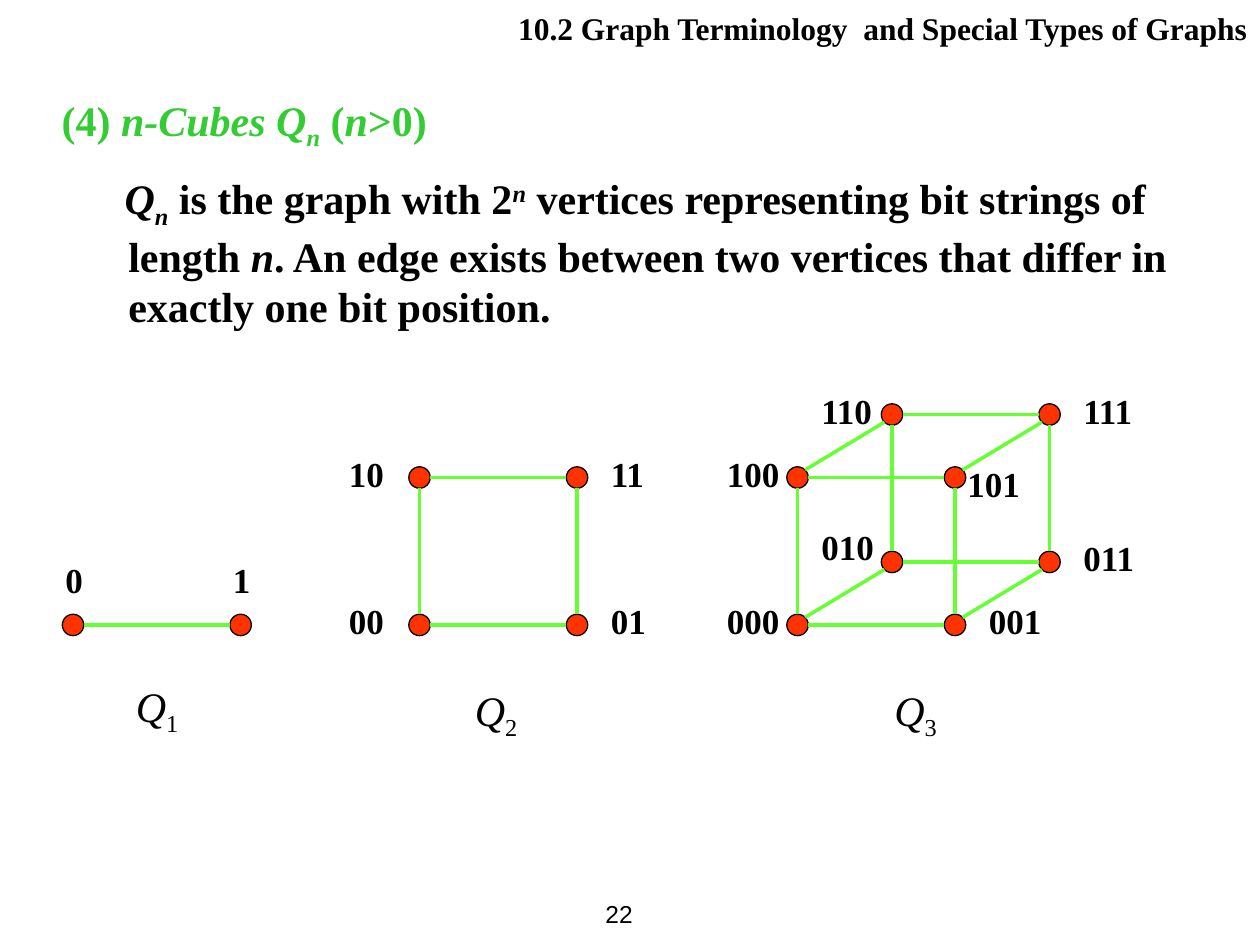
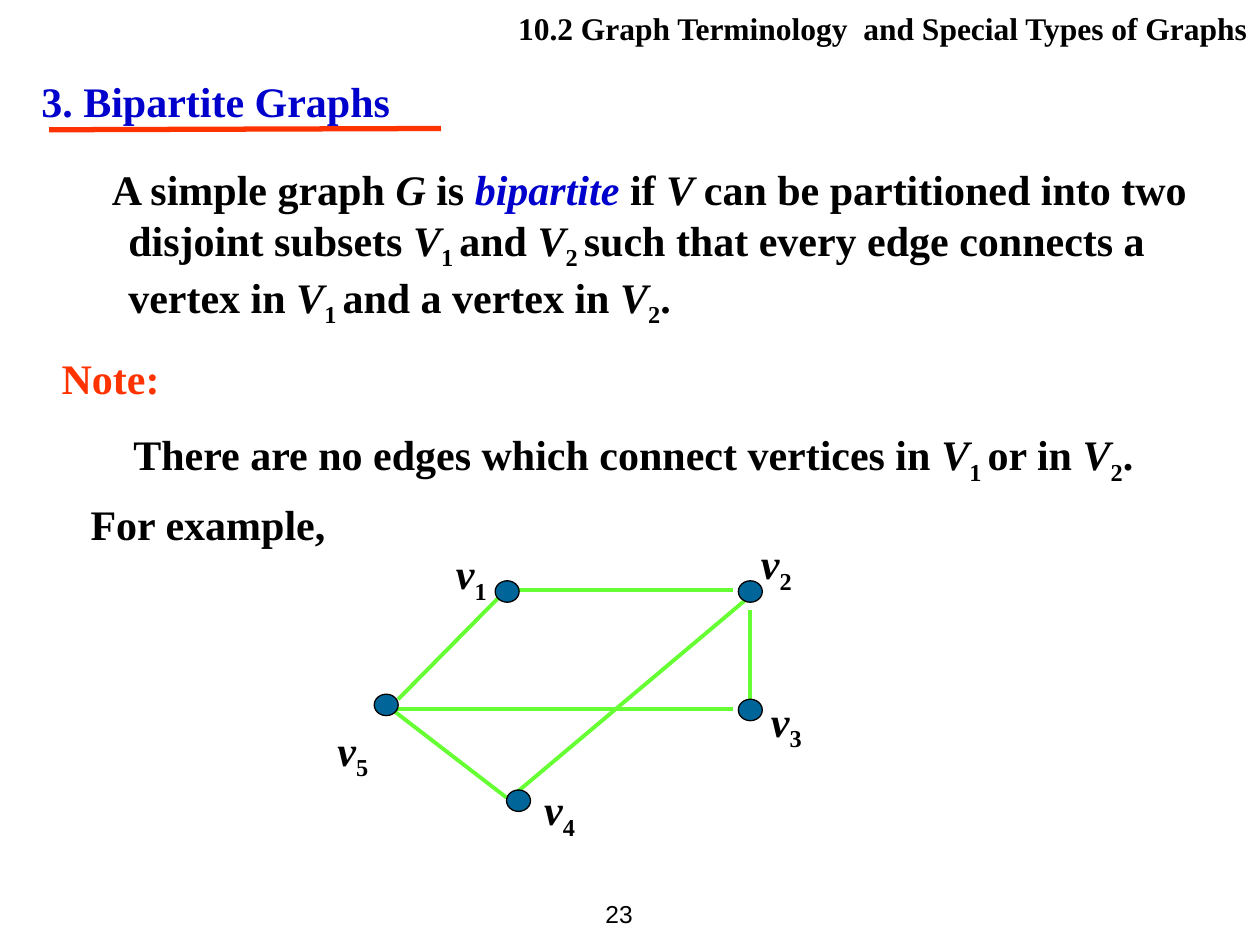
from itertools import combinations
from math import sqrt

from lxml import etree
from pptx import Presentation
from pptx import util as u
from pptx.dml.color import RGBColor
from pptx.enum import shapes as kinds, text
from pptx.oxml.ns import qn

# Shared look
BLACK = RGBColor(0x00, 0x00, 0x00)
HEADING_GREEN = RGBColor(0x33, 0xCC, 0x33)
EDGE_GREEN = RGBColor(0x66, 0xFF, 0x33)
RED = RGBColor(0xFF, 0x33, 0x00)
BLUE = RGBColor(0x00, 0x00, 0xCC)
VERTEX_BLUE = RGBColor(0x00, 0x66, 0x99)
SERIF = "Times New Roman"
SECTION = "10.2 Graph Terminology  and Special Types of Graphs"
BASELINES = {"_": "-25000", "^": "30000"}

BODY = {"size": 24, "bold": True}
CAPTION = {"size": 24}
BIT_LABEL = {"size": 20, "bold": True}

# Cube layout: the step that each bit adds, last bit first
RADIUS = 0.085
RIGHT, UP, BACK = (1.25, 0), (0, -1.17), (0.75, -0.5)
LABEL_LEFT, LABEL_RIGHT, LABEL_ABOVE = (-0.66, -0.25), (0.17, -0.25), (-0.16, -0.58)
LABEL_OFFSETS = {
    "0": LABEL_ABOVE, "1": LABEL_ABOVE,
    "00": LABEL_LEFT, "01": LABEL_RIGHT, "10": LABEL_LEFT, "11": LABEL_RIGHT,
    "000": LABEL_LEFT, "001": LABEL_RIGHT, "100": LABEL_LEFT, "101": (0, -0.17),
    "010": (-0.66, -0.34), "011": LABEL_RIGHT, "110": LABEL_LEFT, "111": LABEL_RIGHT,
}

# Bipartite example
VERTEX_SIZE = (0.19, 0.17)
VERTICES = [(2.97, 5.51), (5.86, 5.55), (5.86, 4.61), (3.93, 4.61), (4.02, 6.27)]
EDGES = [
    ((4.02, 4.68), (5.82, 4.68)), ((4.02, 4.68), (3.16, 5.55)),
    ((3.11, 5.63), (5.82, 5.63)), ((5.95, 4.84), (5.95, 5.55)),
    ((3.11, 5.63), (4.02, 6.33)), ((5.99, 4.7), (4.1, 6.29)),
]
VERTEX_LABELS = {"1": (3.52, 4.3), "2": (5.94, 4.22), "3": (6.02, 5.47),
                 "4": (4.22, 6.17), "5": (2.58, 5.7)}


def set_values(target, values):
    for name, value in values.items():
        setattr(target, name, value)


def add_run(paragraph, content, marks="", color=BLACK, size=24, bold=False, name=SERIF):
    """Marks: i italic, _ subscript, ^ superscript."""
    run = paragraph.add_run()
    run.text = content
    set_values(run.font, {"name": name, "size": u.Pt(size), "bold": bold, "italic": "i" in marks})
    run.font.color.rgb = color
    for mark in marks:
        if mark in BASELINES:
            run.font._element.set("baseline", BASELINES[mark])


def add_text(shapes, box, paragraphs, style, anchor=text.MSO_ANCHOR.TOP):
    """Each paragraph is (runs, format values, left margin, first-line indent)."""
    frame = shapes.add_textbox(*map(u.Inches, box)).text_frame
    set_values(frame, {"word_wrap": True, "vertical_anchor": anchor})
    for index, (runs, layout, margin, indent) in enumerate(paragraphs):
        paragraph = frame.add_paragraph() if index else frame.paragraphs[0]
        properties = paragraph._p.get_or_add_pPr()
        properties.set("marL", str(u.Inches(margin)))
        properties.set("indent", str(u.Inches(indent)))
        set_values(paragraph, layout)
        for content, *options in runs:
            add_run(paragraph, content, *options, **style)


def add_label(shapes, left, top, runs, style, height=0.5):
    add_text(shapes, (left, top, 0.75, height), [(runs, {}, 0, 0)], style)


def add_line(shapes, start, end, color, width):
    line = shapes.add_connector(kinds.MSO_CONNECTOR.STRAIGHT, *map(u.Inches, start + end))
    line.line.color.rgb = color
    line.line.width = u.Pt(width)
    etree.SubElement(line._element.spPr, qn("a:effectLst"))


def add_vertex(shapes, kind, left, top, width, height, color):
    vertex = shapes.add_shape(kind, *map(u.Inches, (left, top, width, height)))
    vertex.shadow.inherit = False
    vertex.fill.solid()
    vertex.fill.fore_color.rgb = color
    vertex.line.color.rgb = BLACK
    vertex.line.width = u.Pt(0.75)


def sign(value):
    return (value > 0) - (value < 0)


def add_cube(slide, origin, steps):
    """Draw an n-cube: two vertices are joined when one bit differs."""
    shapes = slide.shapes.add_group_shape().shapes
    size = len(steps)
    centers = {}
    for number in range(2 ** size):
        bits = format(number, f"0{size}b")
        used = [step for bit, step in zip(reversed(bits), steps) if bit == "1"]
        centers[bits] = tuple(origin[axis] + sum(step[axis] for step in used) for axis in (0, 1))
    for x, y in centers.values():
        add_vertex(shapes, kinds.MSO_SHAPE.FLOWCHART_CONNECTOR,
                   x - RADIUS, y - RADIUS, 2 * RADIUS, 2 * RADIUS, RED)
    for first, second in combinations(centers, 2):
        if sum(a != b for a, b in zip(first, second)) != 1:
            continue
        start, end = centers[first], centers[second]
        way = [sign(b - a) for a, b in zip(start, end)]
        trim = [RADIUS * part / sqrt(sum(map(abs, way))) for part in way]
        add_line(shapes, tuple(a + t for a, t in zip(start, trim)),
                 tuple(b - t for b, t in zip(end, trim)), EDGE_GREEN, 2)
    for bits, (x, y) in centers.items():
        dx, dy = LABEL_OFFSETS[bits]
        add_label(shapes, x + dx, y + dy, [(bits,)], BIT_LABEL, 0.43)


def add_slide(presentation, number):
    """Blank slide with section title and page number."""
    slide = presentation.slides.add_slide(presentation.slide_layouts[6])
    right = {"alignment": text.PP_ALIGN.RIGHT}
    add_text(slide.shapes, (3.98, 0.02, 6.02, 0.4), [([(SECTION,)], right, 0, 0)],
             {"size": 18, "bold": True})
    add_text(slide.shapes, (4.45, 7, 0.67, 0.5), [([(str(number),)], right, 0, 0)],
             {"size": 14, "name": "Arial"}, text.MSO_ANCHOR.MIDDLE)
    return slide


def build_cubes(presentation):
    slide = add_slide(presentation, 22)
    heading = [("(4) ", "", HEADING_GREEN), ("n-Cubes Q", "i", HEADING_GREEN),
               ("n", "i_", HEADING_GREEN), (" (", "", HEADING_GREEN),
               ("n", "i", HEADING_GREEN), (">0)", "", HEADING_GREEN)]
    definition = [("Q", "i"), ("n", "i_"), (" is the graph with 2",), ("n", "i^"),
                  (" vertices representing bit strings of length ",), ("n", "i"),
                  (". An edge exists between two vertices that differ in "
                   "exactly one bit position.",)]
    add_text(slide.shapes, (0.39, 0.7, 9.21, 1.92),
             [(heading, {}, 0.53, -0.53),
              (definition, {"space_before": u.Pt(12)}, 0.53, -0.03)], BODY)

    # Cubes and their captions
    add_cube(slide, (0.58, 4.96), [(1.33, 0)])
    add_cube(slide, (3.33, 4.96), [RIGHT, UP])
    add_cube(slide, (6.33, 4.96), [RIGHT, BACK, UP])
    for index, left, top in (("1", 0.98, 5.35), ("2", 3.67, 5.38), ("3", 7, 5.38)):
        add_label(slide.shapes, left, top, [("Q", "i"), (index, "_")], CAPTION)


def build_bipartite(presentation):
    slide = add_slide(presentation, 23)

    # Heading with underline
    add_text(slide.shapes, (0.23, 0.55, 4.32, 0.5),
             [([("3. Bipartite Graphs", "", BLUE)], {}, 0.5, -0.5)], BODY)
    add_line(slide.shapes, (0.39, 1.03), (3.5, 1.02), RED, 3)

    # Definition and note
    definition = [("A simple graph ",), ("G ", "i"), ("is ",), ("bipartite ", "i", BLUE),
                  ("if ",), ("V ", "i"), ("can be partitioned into two disjoint subsets ",),
                  ("V", "i"), ("1 ", "_"), ("and ",), ("V", "i"), ("2 ", "_"),
                  ("such that every edge connects a vertex in ",), ("V", "i"), ("1 ", "_"),
                  ("and a vertex in ",), ("V", "i"), ("2", "_"), (".",)]
    note = [("There are no edges which connect vertices in ",), ("V", "i"), ("1 ", "_"),
            ("or in ",), ("V", "i"), ("2", "_"), (".",)]
    spaced = {"space_before": u.Pt(8), "line_spacing": 1.2}
    add_text(slide.shapes, (0.39, 1.25, 9.21, 2.5),
             [(definition, {}, 0.53, -0.13),
              ([("Note:", "", RED)], spaced, 0.53, -0.53),
              (note, spaced, 0.53, 0.04)], BODY)
    add_text(slide.shapes, (0.62, 3.91, 9.08, 0.5),
             [([("For example,",)], {}, 0.5, -0.5)], BODY)

    # Example graph
    graph = slide.shapes.add_group_shape().shapes
    for start, end in EDGES:
        add_line(graph, start, end, EDGE_GREEN, 2.25)
    for corner in VERTICES:
        add_vertex(graph, kinds.MSO_SHAPE.OVAL, *corner, *VERTEX_SIZE, VERTEX_BLUE)
    for index, (left, top) in VERTEX_LABELS.items():
        add_label(slide.shapes, left, top, [("v", "i"), (index, "_")], BODY)


def main():
    presentation = Presentation()
    set_values(presentation, {"slide_width": u.Inches(10), "slide_height": u.Inches(7.5)})
    build_cubes(presentation)
    build_bipartite(presentation)
    presentation.save("out.pptx")


if __name__ == "__main__":
    main()
